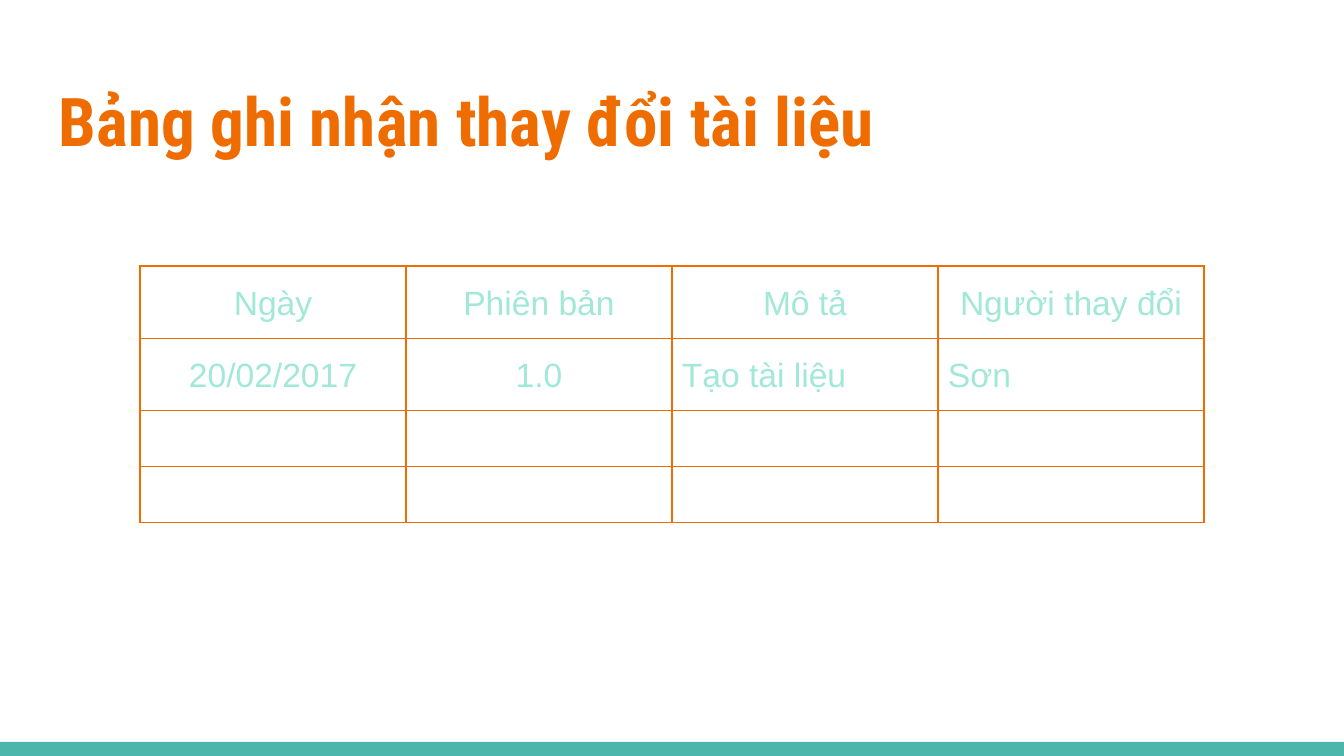
from lxml import etree
from pptx import Presentation
from pptx.dml.color import RGBColor
from pptx.enum.shapes import MSO_SHAPE
from pptx.enum.text import MSO_ANCHOR, PP_ALIGN
from pptx.oxml.ns import qn
from pptx.util import Emu, Pt

RECT = MSO_SHAPE.RECTANGLE
TOP = MSO_ANCHOR.TOP
LEFT, CENTER = PP_ALIGN.LEFT, PP_ALIGN.CENTER
COLORS = {"title": "EF6C00", "border": "EF6C00", "cell": "A1E8D9", "bar": "4DB6AC"}


def px(n):
    return Emu(round(n * 914400 / 134.4))


def put_text(tf, text, size, font, color, bold=False, align=LEFT, spacing=None, after=0):
    p = tf.paragraphs[0]
    p.alignment = align
    p.space_after = Pt(after)
    if spacing:
        p.line_spacing = spacing
    r = p.add_run()
    r.text = text
    r.font.size = Pt(size)
    r.font.name = font
    r.font.bold = bold
    r.font.color.rgb = RGBColor.from_string(COLORS[color])


prs = Presentation()
prs.slide_width, prs.slide_height = px(1344), px(756)
s = prs.slides.add_slide(prs.slide_layouts[6])

bar = s.shapes.add_shape(RECT, px(0), px(742), px(1344), px(14))
bar.shadow.inherit = False
bar.fill.solid()
bar.fill.fore_color.rgb = RGBColor.from_string(COLORS["bar"])
bar.line.fill.background()

title = s.shapes.add_textbox(px(46), px(66), px(1252), px(103))
tf = title.text_frame
tf.word_wrap = True
tf.vertical_anchor = TOP
tf.margin_left = tf.margin_right = tf.margin_top = tf.margin_bottom = px(13)
put_text(tf, "Bảng ghi nhận thay đổi tài liệu", 36, "Roboto Condensed", "title", bold=True)

rows = [
    ["Ngày", "Phiên bản", "Mô tả", "Người thay đổi"],
    ["20/02/2017", "1.0", "Tạo tài liệu", "Sơn"],
    [""] * 4,
    [""] * 4,
]
heights = [70, 70, 56, 56]
table = s.shapes.add_table(4, 4, px(140), px(266), px(1064), px(sum(heights))).table
table.first_row = table.horz_banding = False
for col in table.columns:
    col.width = px(266)

for i, (row, height) in enumerate(zip(rows, heights)):
    table.rows[i].height = px(height)
    for j, text in enumerate(row):
        cell = table.cell(i, j)
        cell.margin_left = cell.margin_right = px(10)
        cell.vertical_anchor = TOP
        if text:
            cell.margin_top = cell.margin_bottom = px(13)
            align = CENTER if i == 0 or j < 2 else LEFT
            put_text(cell.text_frame, text, 18, "Arial", "cell", align=align, spacing=1.15, after=6)
        tcPr = cell._tc.get_or_add_tcPr()
        for side in ("a:lnL", "a:lnR", "a:lnT", "a:lnB"):
            ln = etree.SubElement(tcPr, qn(side), w=str(Pt(1)))
            fill = etree.SubElement(ln, qn("a:solidFill"))
            etree.SubElement(fill, qn("a:srgbClr"), val=COLORS["border"])
        cell.fill.background()

prs.save("out.pptx")
